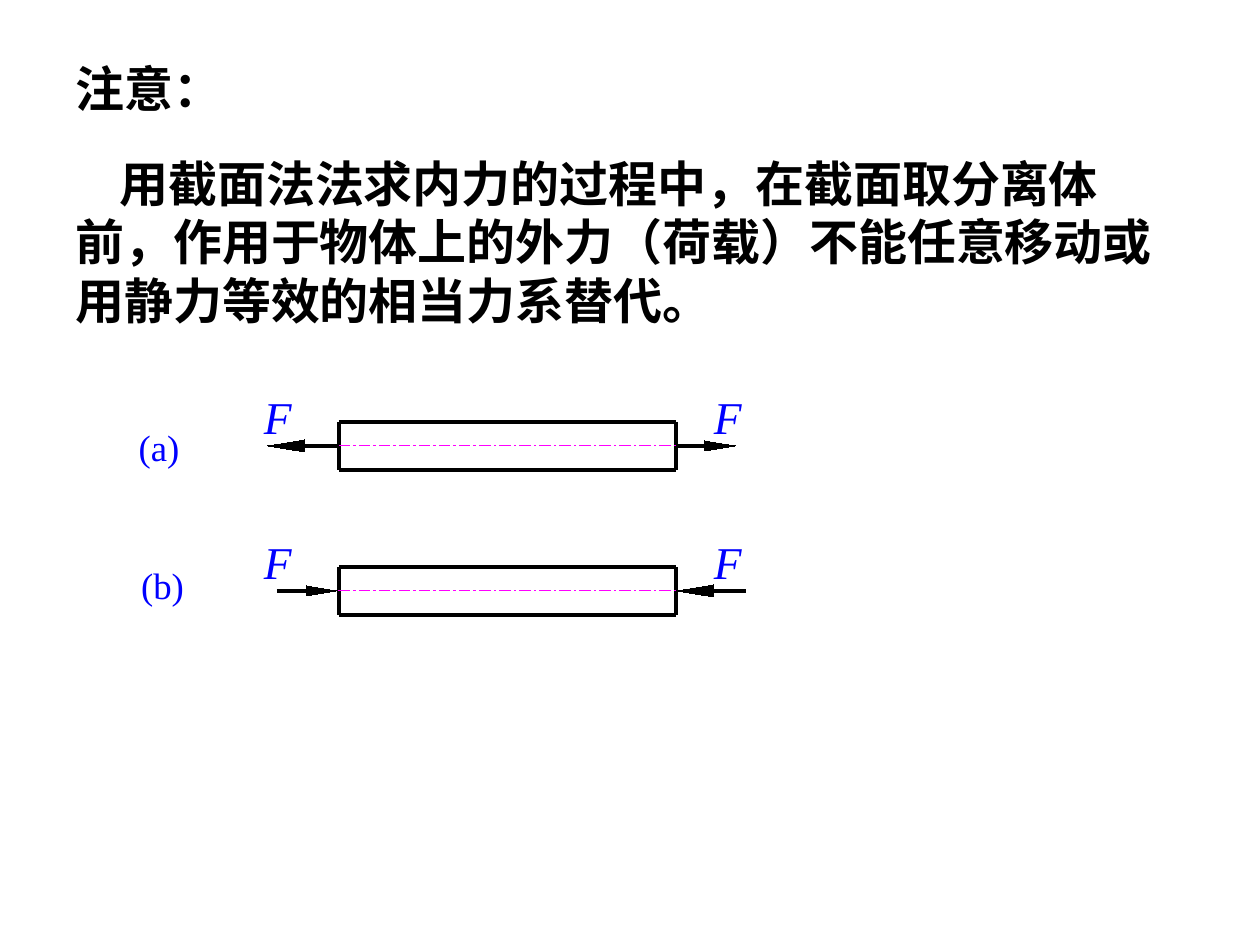
from lxml.etree import SubElement
from pptx import Presentation
from pptx.dml.color import RGBColor
from pptx.enum.dml import MSO_LINE
from pptx.enum.shapes import MSO_CONNECTOR
from pptx.enum.text import MSO_ANCHOR, PP_ALIGN
from pptx.oxml.ns import qn
from pptx.util import Emu, Inches, Pt

PX = Inches(10) / 1260
SERIF, CJK = "Times New Roman", "Noto Sans CJK SC"
BLACK, BLUE, MAGENTA = "000000", "0000FF", "FF00FF"
BAR_LEFT, BAR_RIGHT, HALF_HEIGHT = 339, 676, 24


def px(n):
    return Emu(round(n * PX))


def color(hex_text):
    return RGBColor.from_string(hex_text)


def write(sp, text, font, size, hex_text, pad=(0, 0), align=PP_ALIGN.LEFT,
          bold=False, italic=False):
    tf = sp.text_frame
    tf.text = text
    tf.word_wrap = True
    tf.vertical_anchor = MSO_ANCHOR.TOP
    tf.margin_left = tf.margin_right = Inches(pad[0])
    tf.margin_top = tf.margin_bottom = Inches(pad[1])
    p = tf.paragraphs[0]
    p.alignment = align
    r = p.runs[0]
    r.font.name, r.font.size = font, Pt(size)
    r.font.bold, r.font.italic = bold, italic
    r.font.color.rgb = color(hex_text)
    SubElement(r.font._element, qn("a:ea")).set("typeface", CJK)
    return p


def add_text(s, box, *args, **style):
    sp = s.shapes.add_textbox(*map(px, box))
    return write(sp, *args, **style)


def add_title(s, box, text):
    sp = s.shapes.title
    sp.left, sp.top, sp.width, sp.height = map(px, box)
    p = write(sp, text, SERIF, 28, BLACK, pad=(0.1, 0.05), bold=True)
    p.line_spacing = Pt(33.6)


def set_line(line, hex_text, width):
    line.color.rgb = color(hex_text)
    line._get_or_add_ln().set("w", str(Pt(width)))


def add_line(s, start, end, hex_text=BLACK, width=2.25, dash=None):
    c = s.shapes.add_connector(MSO_CONNECTOR.STRAIGHT, *map(px, start + end))
    set_line(c.line, hex_text, width)
    if dash:
        c.line.dash_style = dash
    SubElement(c._element.spPr, qn("a:effectLst"))


def add_force(s, tail, base, tip, y, half):
    add_line(s, (tail, y), (base, y))
    fb = s.shapes.build_freeform(base, y + half, scale=PX)
    fb.add_line_segments([(tip, y), (base, y - half)], close=True)
    sp = fb.convert_to_shape()
    sp.shadow.inherit = False
    sp.fill.solid()
    sp.fill.fore_color.rgb = color(BLACK)
    set_line(sp.line, BLACK, 0)


def add_bar(s, y, forces):
    top, bottom = y - HALF_HEIGHT, y + HALF_HEIGHT
    corners = [(BAR_LEFT, top), (BAR_RIGHT, top),
               (BAR_RIGHT, bottom), (BAR_LEFT, bottom)]
    for start, end in zip(corners, corners[1:] + corners[:1]):
        add_line(s, start, end)
    add_line(s, (BAR_LEFT, y), (BAR_RIGHT, y), MAGENTA, 0,
             MSO_LINE.LONG_DASH_DOT)
    for tail, base, tip, half in forces:
        add_force(s, tail, base, tip, y, half)
    for x in (264, 714):
        add_text(s, (x, y - 57, 39, 54), "F", SERIF, 26, BLUE, italic=True)


def main():
    prs = Presentation()
    prs.slide_width, prs.slide_height = Inches(10), Inches(7.5)
    s = prs.slides.add_slide(prs.slide_layouts[5])

    add_title(s, (63, 52, 325, 72), "注意：")
    p = add_text(
        s, (63, 147, 1124, 189),
        "用截面法法求内力的过程中，在截面取分离体前，作用于物体上的外力"
        "（荷载）不能任意移动或用静力等效的相当力系替代。",
        CJK, 28, BLACK, pad=(0.1, 0.05), bold=True)
    p.line_spacing = Pt(33.6)
    pPr = p._p.get_or_add_pPr()
    pPr.set("indent", str(px(44)))
    pPr.set("hangingPunct", "0")

    add_bar(s, 446, [(BAR_LEFT, 305, 268, 6), (BAR_RIGHT, 704, 735, 5)])
    add_bar(s, 591, [(277, 306, 336, 5), (746, 714, 677, 6)])
    add_text(s, (137, 425, 44, 44), "(a)", SERIF, 21, BLUE,
             align=PP_ALIGN.CENTER)
    add_text(s, (115, 557, 95, 57), "(b)", SERIF, 21, BLUE,
             pad=(0.1, 0.05), align=PP_ALIGN.CENTER)
    prs.save("out.pptx")


if __name__ == "__main__":
    main()
